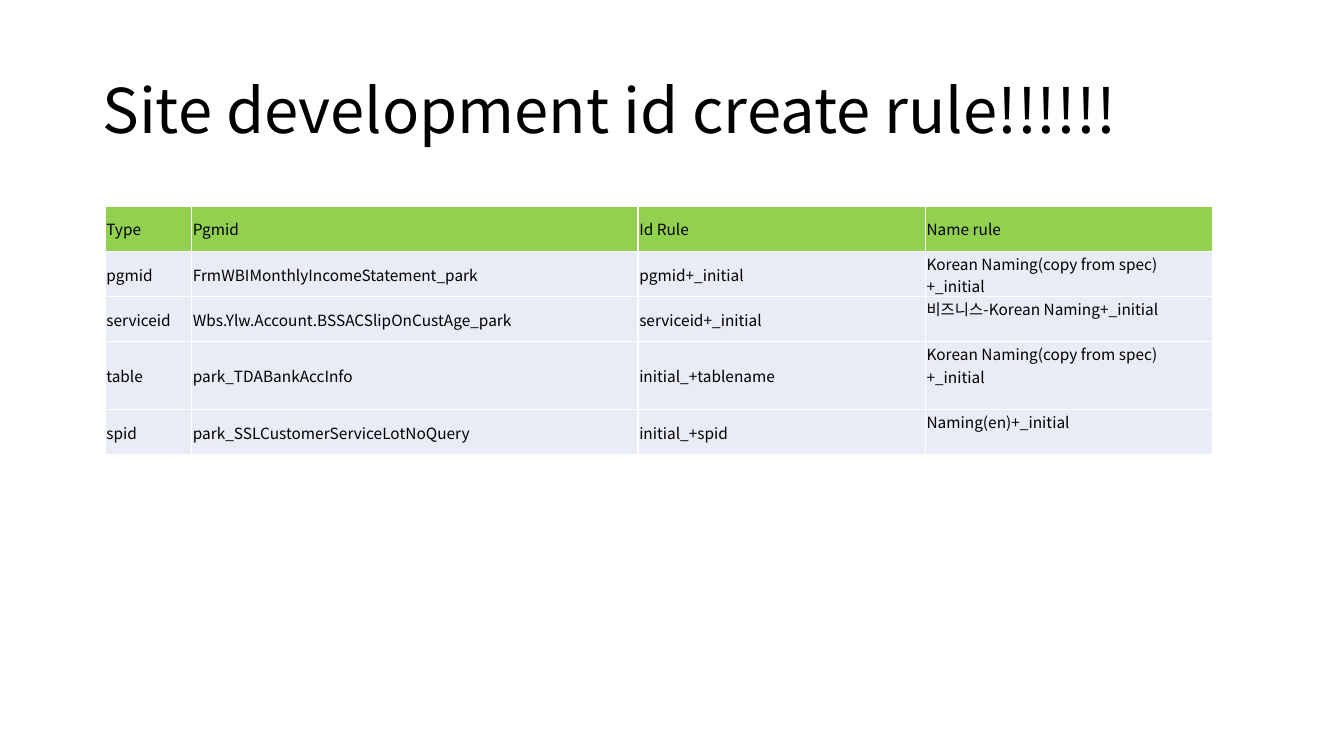
from lxml.etree import SubElement
from pptx import Presentation
from pptx.dml.color import RGBColor as RGB
from pptx.enum.text import MSO_ANCHOR as Anchor
from pptx.oxml.ns import qn
from pptx.util import Cm, Pt

TITLE = "Site development id create rule!!!!!!"
ROWS = [
    ("Type", "Pgmid", "Id Rule", "Name rule"),
    ("pgmid", "FrmWBIMonthlyIncomeStatement_park", "pgmid+_initial",
     "Korean Naming(copy from spec)+_initial"),
    ("serviceid", "Wbs.Ylw.Account.BSSACSlipOnCustAge_park", "serviceid+_initial",
     "비즈니스-Korean Naming+_initial"),
    ("table", "park_TDABankAccInfo", "initial_+tablename",
     "Korean Naming(copy from spec)+_initial"),
    ("spid", "park_SSLCustomerServiceLotNoQuery", "initial_+spid", "Naming(en)+_initial"),
]
COL_WIDTHS = (2.18, 11.25, 7.24, 7.24)
ROW_HEIGHTS = (1.14, 1.14, 1.14, 1.71, 1.14)
COLORS = {"text": "000000", "header": "92D050", "body": "E9EBF5", "border": "FFFFFF"}
FONT = "Noto Sans CJK KR"


def write(tf, text, size):
    p = tf.paragraphs[0]
    p.text = text
    p.font.size = Pt(size)
    p.font.name = FONT
    p.font.color.rgb = RGB.from_string(COLORS["text"])
    SubElement(p._p.pPr.find(qn("a:defRPr")), qn("a:ea"), typeface=FONT)
    return p


def add_borders(cell):
    tc_pr = cell._tc.get_or_add_tcPr()
    for side in ("lnL", "lnR", "lnT", "lnB"):
        ln = SubElement(tc_pr, qn(f"a:{side}"), w=str(Pt(1)))
        fill = SubElement(ln, qn("a:solidFill"))
        SubElement(fill, qn("a:srgbClr"), val=COLORS["border"])


def add_title(s):
    tf = s.shapes.add_textbox(Cm(2.33), Cm(1.01), Cm(29.21), Cm(3.68)).text_frame
    tf.word_wrap = True
    tf.vertical_anchor = Anchor.MIDDLE
    write(tf, TITLE, 44).line_spacing = 0.9


def add_rules(s):
    table = s.shapes.add_table(
        len(ROWS), len(COL_WIDTHS), Cm(2.65), Cm(5.19),
        Cm(sum(COL_WIDTHS)), Cm(sum(ROW_HEIGHTS))).table
    table.horz_banding = table.first_row = False
    for col, width in zip(table.columns, COL_WIDTHS):
        col.width = Cm(width)
    for i, (row, height) in enumerate(zip(table.rows, ROW_HEIGHTS)):
        row.height = Cm(height)
        for j, cell in enumerate(row.cells):
            name_rule = i > 0 and j == len(COL_WIDTHS) - 1
            cell.vertical_anchor = Anchor.TOP if name_rule else Anchor.MIDDLE
            cell.margin_left = cell.margin_right = cell.margin_top = Cm(0.03)
            cell.margin_bottom = 0
            add_borders(cell)
            cell.fill.solid()
            cell.fill.fore_color.rgb = RGB.from_string(COLORS["body" if i else "header"])
            write(cell.text_frame, ROWS[i][j], 11)


def main():
    prs = Presentation()
    prs.slide_width, prs.slide_height = Cm(33.87), Cm(19.05)
    s = prs.slides.add_slide(prs.slide_layouts[6])
    add_title(s)
    add_rules(s)
    prs.save("out.pptx")


if __name__ == "__main__":
    main()
